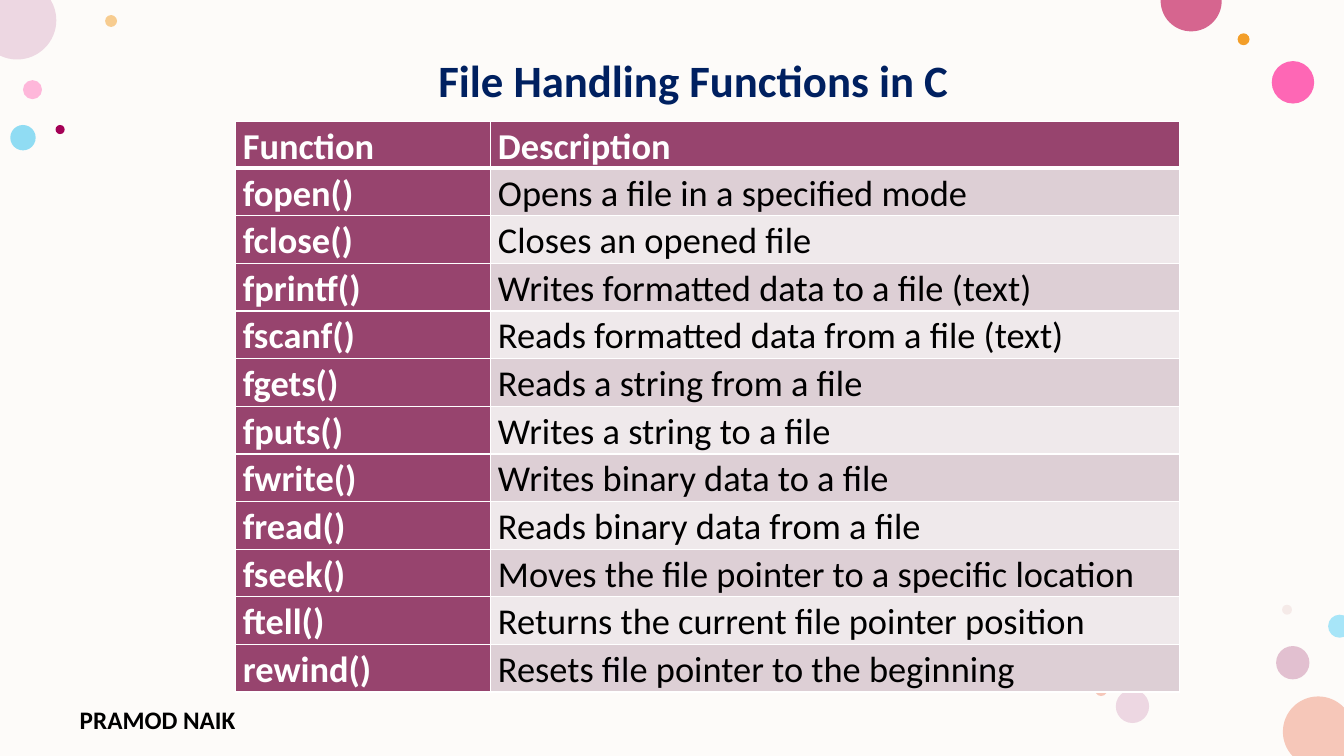
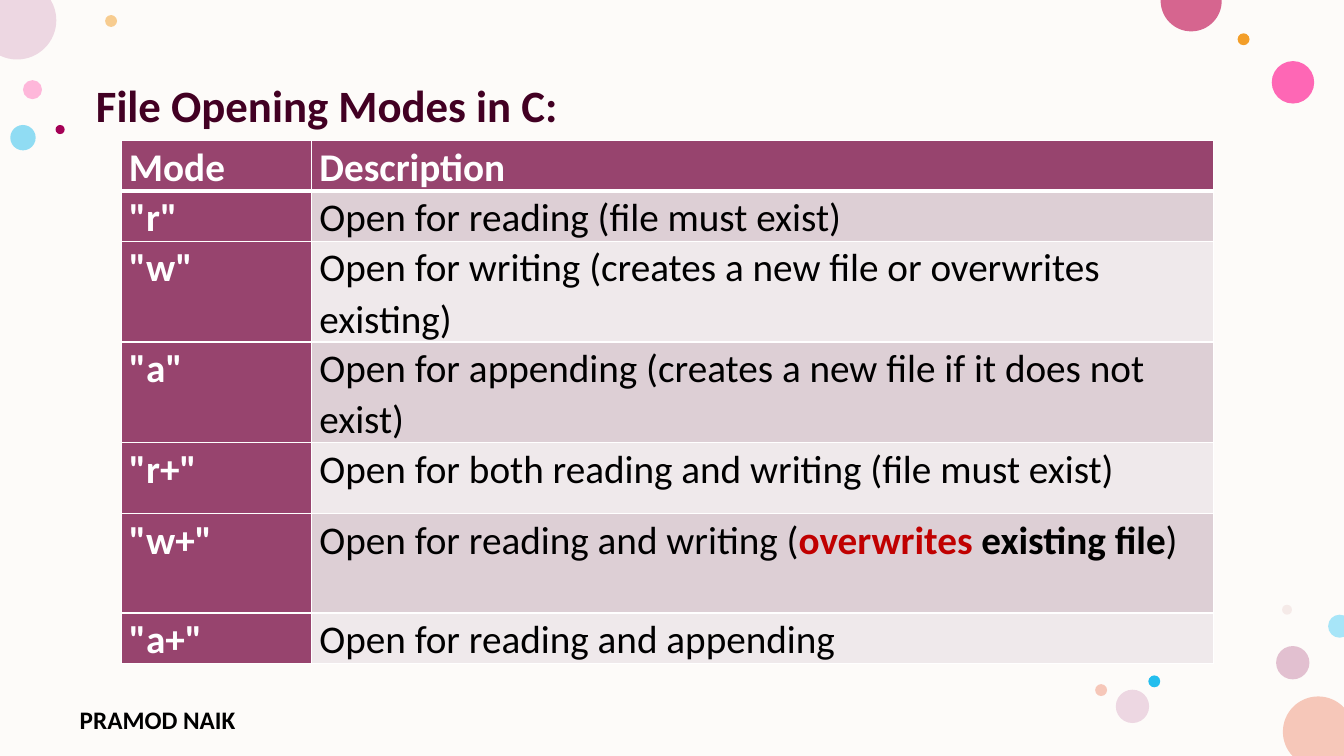
from itertools import pairwise
from math import cos, radians, sin, tan

from pptx import Presentation
from pptx.dml.color import RGBColor
from pptx.enum.shapes import MSO_SHAPE
from pptx.enum.text import PP_ALIGN
from pptx.oxml import parse_xml
from pptx.oxml.ns import nsdecls
from pptx.util import Cm, Pt

OVAL, RECTANGLE = MSO_SHAPE.OVAL, MSO_SHAPE.RECTANGLE
LEFT, CENTER = PP_ALIGN.LEFT, PP_ALIGN.CENTER

FONT = "Calibri"
PAGE_WIDTH, PAGE_HEIGHT = 33.87, 19.05
COLORS = {
    "page": "FDFBF9", "white": "FFFFFF", "black": "000000",
    "navy": "002060", "wine": "420023", "red": "C00000",
    "plum": "97446E", "band_dark": "DDCFD5", "band_light": "EFE9EB",
    "pink": "FF75BD", "hot_pink": "FF2F9C", "rose": "D6658F",
    "mauve": "C987A8", "lilac": "EDD7E2", "blush": "E3BEBE",
    "peach": "F6C7B9", "orange": "F39E29", "magenta": "A40056",
    "blue": "24BEEE", "pale_blue": "A7E5F8",
}

# left, top, diameter in cm, colour, opacity in percent
DOTS = [
    (0.58, 2.02, 0.48, "pink", 50),
    (2.65, 0.38, 0.3, "orange", 50),
    (32.16, 16.28, 0.84, "mauve", 50),
    (0.26, 3.15, 0.64, "blue", 50),
    (32.05, 1.54, 1.07, "hot_pink", 72),
    (31.19, 0.84, 0.3, "orange", 100),
    (32.31, 15.24, 0.25, "blush", 28),
    (28.94, 17.02, 0.3, "blue", 100),
    (28.12, 17.38, 0.84, "lilac", 100),
    (27.6, 17.24, 0.3, "peach", 100),
    (1.4, 3.15, 0.23, "magenta", 100),
]
# centre x, centre y, radius in cm, arc angles in degrees, page corner, colour
EDGE_DOTS = [
    (33.22, 18.44, 0.89, (137, 180, 270, 317), (PAGE_WIDTH, PAGE_HEIGHT), "peach"),
    (0.43, 0.51, 0.99, (-31, 0, 90, 116), (0, 0), "lilac"),
    (30.02, 0.02, 0.77, (-2, 90, 182), None, "rose"),
    (33.76, 15.78, 0.29, (68, 90, 180, 270, 292), None, "pale_blue"),
]

FUNCTIONS = [
    ("Function", "Description"),
    ("fopen()", "Opens a file in a specified mode"),
    ("fclose()", "Closes an opened file"),
    ("fprintf()", "Writes formatted data to a file (text)"),
    ("fscanf()", "Reads formatted data from a file (text)"),
    ("fgets()", "Reads a string from a file"),
    ("fputs()", "Writes a string to a file"),
    ("fwrite()", "Writes binary data to a file"),
    ("fread()", "Reads binary data from a file"),
    ("fseek()", "Moves the file pointer to a specific location"),
    ("ftell()", "Returns the current file pointer position"),
    ("rewind()", "Resets file pointer to the beginning"),
]
# A description is plain text or a list of (text, bold, colour) spans.
MODES = [
    ("Mode", "Description"),
    ('"r"', "Open for reading (file must exist)"),
    ('"w"', "Open for writing (creates a new file or overwrites existing)"),
    ('"a"', "Open for appending (creates a new file if it does not exist)"),
    ('"r+"', "Open for both reading and writing (file must exist)"),
    ('"w+"', [
        ("Open for reading and writing (", False, "black"),
        ("overwrites", True, "red"),
        (" existing file", True, "black"),
        (")", False, "black"),
    ]),
    ('"a+"', "Open for reading and appending"),
]


def rgb(color):
    return RGBColor.from_string(COLORS[color])


def set_font(font, size, color, bold):
    font.name, font.size, font.bold = FONT, Pt(size), bold
    font.color.rgb = rgb(color)


def paint(shape, color, opacity=100):
    shape.shadow.inherit = False
    shape.line.fill.background()
    shape.fill.solid()
    shape.fill.fore_color.rgb = rgb(color)
    if opacity < 100:
        tint = shape.fill._xPr.find(".//{*}srgbClr")
        tint.append(parse_xml(f'<a:alpha {nsdecls("a")} val="{opacity * 1000}"/>'))


def arc_points(center_x, center_y, radius, angles):
    """Return the start of an arc, then three Bezier points per piece."""
    def point(angle, reach=0):
        x, y = cos(radians(angle)), sin(radians(angle))
        return (Cm(center_x + radius * (x - reach * y)),
                Cm(center_y + radius * (y + reach * x)))

    points = [point(angles[0])]
    for start, end in pairwise(angles):
        reach = 4 / 3 * tan(radians(end - start) / 4)
        points += [point(start, reach), point(end, -reach), point(end)]
    return points


def add_edge_dot(page, center_x, center_y, radius, angles, corner, color):
    """Draw a circle cut off by the edges of the page."""
    points = arc_points(center_x, center_y, radius, angles)
    builder = page.shapes.build_freeform(*points[0])
    tail = [tuple(map(Cm, corner))] if corner else []
    builder.add_line_segments(points[1:] + tail, close=True)
    shape = builder.convert_to_shape()
    segments = shape._element.findall(".//{*}lnTo")
    for first in range(0, len(points) - 1, 3):
        curve = parse_xml(f'<a:cubicBezTo {nsdecls("a")}/>')
        segments[first].addprevious(curve)
        for segment in segments[first:first + 3]:
            curve.append(segment[0])
            segment.getparent().remove(segment)
    paint(shape, color)


def add_line(page, text, box, size, color, align=LEFT):
    """Add a one-line bold text box and return its paragraph."""
    frame = page.shapes.add_textbox(*map(Cm, box)).text_frame
    frame.word_wrap = True
    para = frame.paragraphs[0]
    para.text, para.alignment = text, align
    set_font(para.font, size, color, True)
    return para


def add_title(page, text, box, color, align):
    para = add_line(page, text, box, 32, color, align)
    para.line_spacing, para.space_before = 0.9, Pt(10)


def set_borders(cell, bottom):
    """Draw white borders, 1 pt wide except for the bottom one."""
    properties = cell._tc.get_or_add_tcPr()
    for side, width in (("L", 1), ("R", 1), ("T", 1), ("B", bottom)):
        properties.append(parse_xml(
            f'<a:ln{side} {nsdecls("a")} w="{Pt(width)}"><a:solidFill>'
            f'<a:srgbClr val="{COLORS["white"]}"/></a:solidFill></a:ln{side}>'))


def fill_cell(cell, content, size, fill, color, bold, bottom):
    cell.margin_left = cell.margin_right = Cm(0.19)
    cell.margin_top = cell.margin_bottom = 0
    set_borders(cell, bottom)
    cell.fill.solid()
    cell.fill.fore_color.rgb = rgb(fill)
    para = cell.text_frame.paragraphs[0]
    para.line_spacing, para.space_after = 1.07, Pt(8)
    set_font(para.font, size, color, bold)
    if isinstance(content, str):
        para.text = content
        return
    for text, span_bold, span_color in content:
        span = para.add_run()
        span.text = text
        set_font(span.font, size, span_color, span_bold)


def add_reference_table(page, rows, left, top, widths, heights, size):
    """Add a table with a plum header row and first column."""
    table = page.shapes.add_table(
        len(rows), len(widths), Cm(left), Cm(top),
        Cm(sum(widths)), Cm(sum(heights))).table
    table.horz_banding = False
    for column, width in zip(table.columns, widths):
        column.width = Cm(width)
    for r, (row, height) in enumerate(zip(rows, heights)):
        table.rows[r].height = Cm(height)
        band = "band_dark" if r % 2 else "band_light"
        for c, content in enumerate(row):
            heading = r == 0 or c == 0
            fill_cell(table.cell(r, c), content, size,
                      fill="plum" if heading else band,
                      color="white" if heading else "black",
                      bold=heading, bottom=3 if r == 0 else 1)


def add_page(deck):
    """Add a page with the shared background, dots and footer."""
    page = deck.slides.add_slide(deck.slide_layouts[6])
    backdrop = page.shapes.add_shape(
        RECTANGLE, 0, 0, deck.slide_width, deck.slide_height)
    paint(backdrop, "page")
    for left, top, size, color, opacity in DOTS:
        dot = page.shapes.add_shape(OVAL, Cm(left), Cm(top), Cm(size), Cm(size))
        paint(dot, color, opacity)
    for edge_dot in EDGE_DOTS:
        add_edge_dot(page, *edge_dot)
    add_line(page, "PRAMOD NAIK", (1.76, 17.63, 6.22, 0.81), 18, "black")
    return page


def add_functions_page(deck):
    page = add_page(deck)
    add_title(page, "File Handling Functions in C",
              (2.67, 1.36, 29.62, 2.37), "navy", CENTER)
    add_reference_table(page, FUNCTIONS, 5.93, 3.06, (6.43, 17.37),
                        [0.89] + [1.2] * (len(FUNCTIONS) - 1), 26)


def add_modes_page(deck):
    page = add_page(deck)
    add_title(page, "File Opening Modes in C:",
              (2.17, 1.99, 29.62, 15.16), "wine", LEFT)
    add_reference_table(page, MODES, 3.06, 3.54, (4.8, 22.73),
                        [1.22, 1.22, 2.51, 2.51, 1.78, 2.51, 1.22], 28)


def main():
    deck = Presentation()
    deck.slide_width, deck.slide_height = Cm(PAGE_WIDTH), Cm(PAGE_HEIGHT)
    add_functions_page(deck)
    add_modes_page(deck)
    deck.save("out.pptx")


if __name__ == "__main__":
    main()
